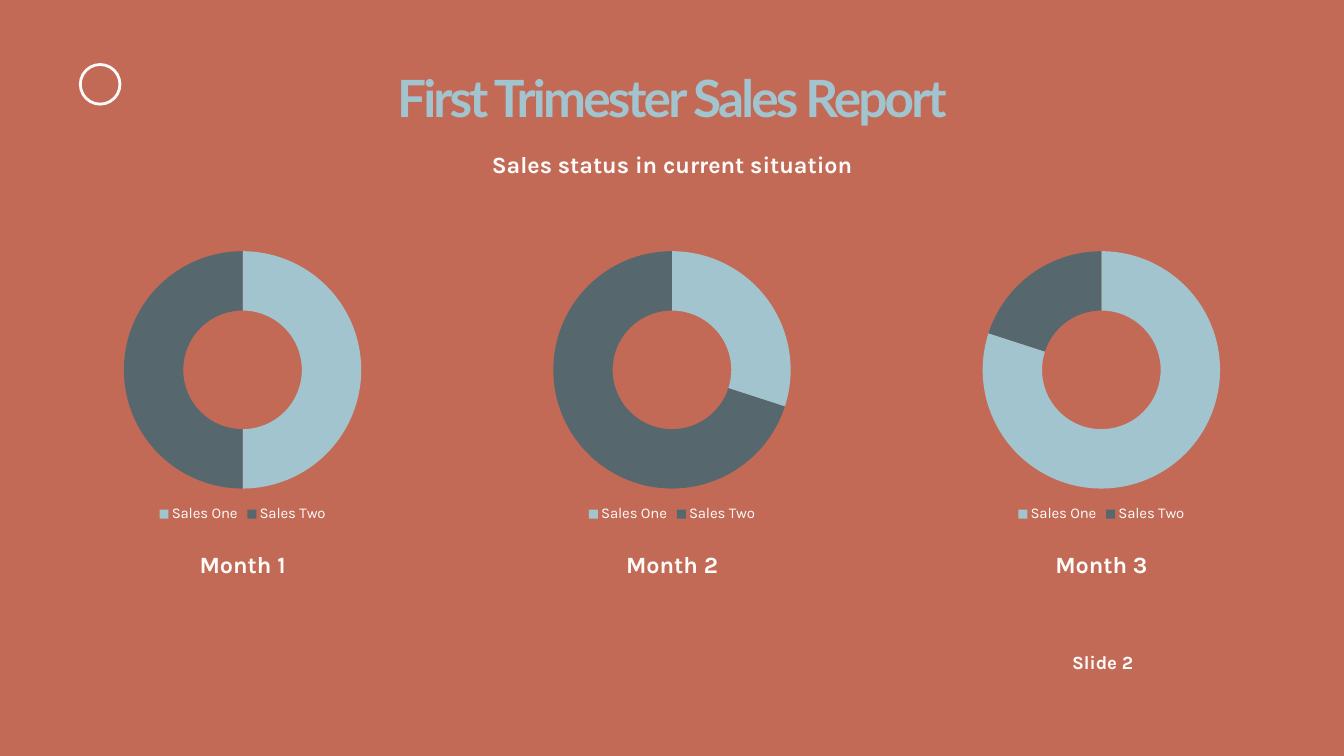
from dataclasses import dataclass

from pptx import Presentation
from pptx.chart.data import CategoryChartData
from pptx.dml.color import RGBColor
from pptx.enum.chart import XL_CHART_TYPE, XL_LEGEND_POSITION
from pptx.enum.shapes import MSO_SHAPE
from pptx.enum.text import MSO_ANCHOR, PP_ALIGN
from pptx.util import Inches, Pt


@dataclass(frozen=True)
class Theme:
    background: RGBColor = RGBColor.from_string("C36A57")
    light: RGBColor = RGBColor.from_string("FEFCFB")
    sales_one: RGBColor = RGBColor.from_string("A2C4CF")
    sales_two: RGBColor = RGBColor.from_string("56686E")
    heading_font: str = "Lato"
    body_font: str = "Karla"
    title_size: int = 55
    label_size: int = 25
    footer_size: int = 20
    legend_size: int = 16


THEME = Theme()
WIDTH, HEIGHT = 20, 11.25

TITLE = "First Trimester Sales Report"
SUBTITLE = "Sales status in current situation"
FOOTER = "Slide 2"
CATEGORIES = ["Sales One", "Sales Two"]
MONTHS = [("Month 1", (50, 50)), ("Month 2", (30, 70)), ("Month 3", (80, 20))]

MIDDLE = WIDTH / 2
COLUMN_PITCH = 6.39
CHART_TOP, CHART_WIDTH, CHART_HEIGHT = 3.6, 4.86, 4.22
LABEL_TOP, LABEL_WIDTH, LABEL_HEIGHT = 8.14, 1.81, 0.4

TITLE_FORMAT = {"name": THEME.heading_font, "size": Pt(THEME.title_size), "bold": True}
LABEL_FORMAT = {"name": THEME.body_font, "size": Pt(THEME.label_size), "bold": True}
FOOTER_FORMAT = LABEL_FORMAT | {"size": Pt(THEME.footer_size)}
LEGEND_FORMAT = {"name": THEME.body_font, "size": Pt(THEME.legend_size), "bold": False}


def centred(center, top, width, height):
    return [Inches(value) for value in (center - width / 2, top, width, height)]


def format_font(font, values, color=THEME.light):
    for name, value in values.items():
        setattr(font, name, value)
    font.color.rgb = color


def write(box, text, values, color=THEME.light, align=PP_ALIGN.CENTER):
    frame = box.text_frame
    frame.word_wrap = True
    frame.vertical_anchor = MSO_ANCHOR.TOP
    para = frame.paragraphs[0]
    para.alignment = align
    span = para.add_run()
    span.text = text
    format_font(span.font, values, color)
    return span


def add_label(page, text, area, values=LABEL_FORMAT, align=PP_ALIGN.CENTER):
    write(page.shapes.add_textbox(*area), text, values, align=align)


def add_title(page):
    title = page.shapes.title
    area = centred(MIDDLE, 0.94, 9.68, 1.06)
    for name, value in zip(("left", "top", "width", "height"), area):
        setattr(title, name, value)
    span = write(title, TITLE, TITLE_FORMAT, THEME.sales_one)
    span.font._element.set("spc", "-300")  # letter spacing, hundredths of a point


def add_emblem(page):
    ring = page.shapes.add_shape(MSO_SHAPE.OVAL, *centred(1.49, 0.96, 0.59, 0.59))
    ring.shadow.inherit = False
    ring.fill.background()
    ring.line.color.rgb = THEME.light
    ring.line.width = Pt(3)


def add_doughnut(page, center, values):
    data = CategoryChartData()
    data.categories = CATEGORIES
    data.add_series("Series 1", values)
    area = centred(center, CHART_TOP, CHART_WIDTH, CHART_HEIGHT)
    chart = page.shapes.add_chart(XL_CHART_TYPE.DOUGHNUT, *area, data).chart
    chart.has_title = False
    chart.has_legend = True
    chart.legend.position = XL_LEGEND_POSITION.BOTTOM
    chart.legend.include_in_layout = False
    format_font(chart.font, LEGEND_FORMAT)
    format_font(chart.legend.font, LEGEND_FORMAT)
    plot = chart.plots[0]
    plot.vary_by_categories = True
    for index, color in enumerate((THEME.sales_one, THEME.sales_two)):
        point = plot.series[0].points[index]
        point.format.fill.solid()
        point.format.fill.fore_color.rgb = color
        point.format.line.fill.background()


def main():
    deck = Presentation()
    deck.slide_width, deck.slide_height = Inches(WIDTH), Inches(HEIGHT)
    page = deck.slides.add_slide(deck.slide_layouts[5])
    page.background.fill.solid()
    page.background.fill.fore_color.rgb = THEME.background

    add_title(page)
    add_label(page, SUBTITLE, centred(MIDDLE, 2.19, 5.78, LABEL_HEIGHT))
    add_emblem(page)
    for column, (month, values) in enumerate(MONTHS):
        center = MIDDLE + (column - 1) * COLUMN_PITCH
        add_doughnut(page, center, values)
        add_label(page, month, centred(center, LABEL_TOP, LABEL_WIDTH, LABEL_HEIGHT))
    footer_area = centred(MIDDLE + COLUMN_PITCH + 0.03, 9.64, 1.13, LABEL_HEIGHT)
    add_label(page, FOOTER, footer_area, FOOTER_FORMAT, PP_ALIGN.LEFT)

    deck.save("out.pptx")


if __name__ == "__main__":
    main()
